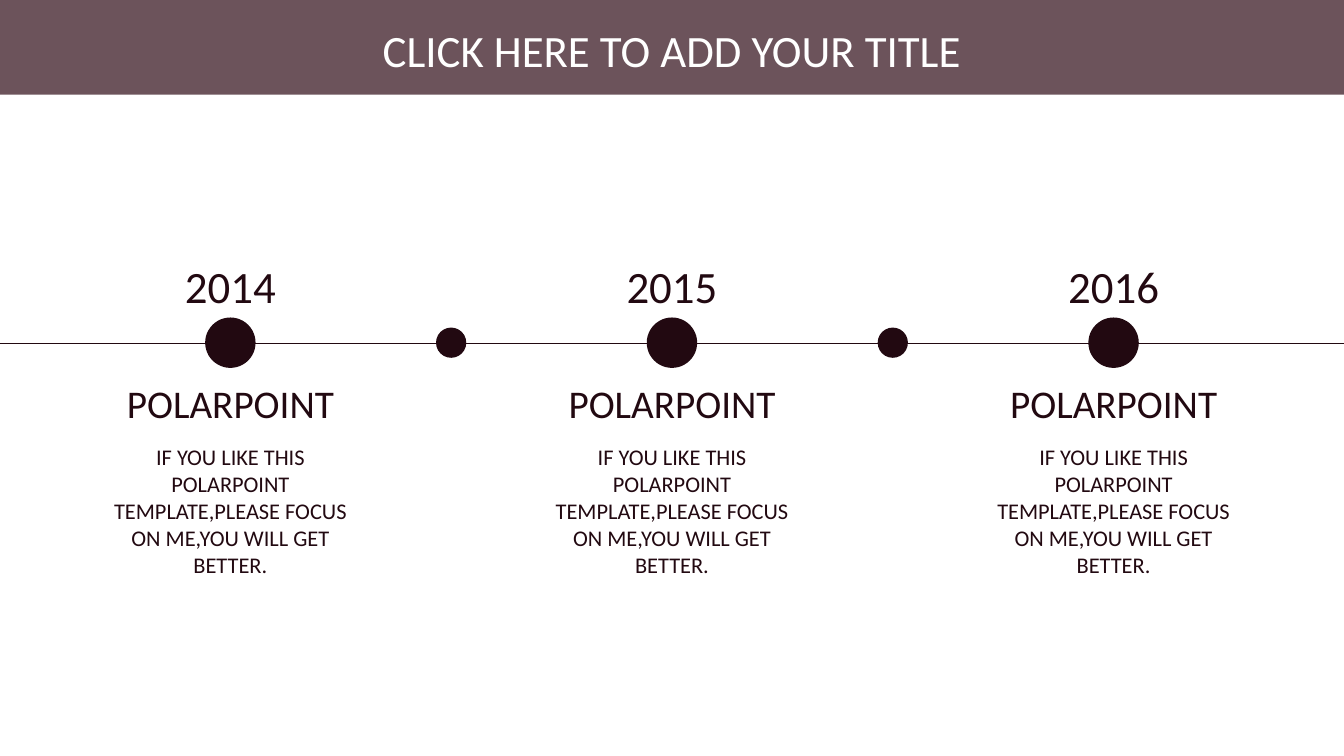
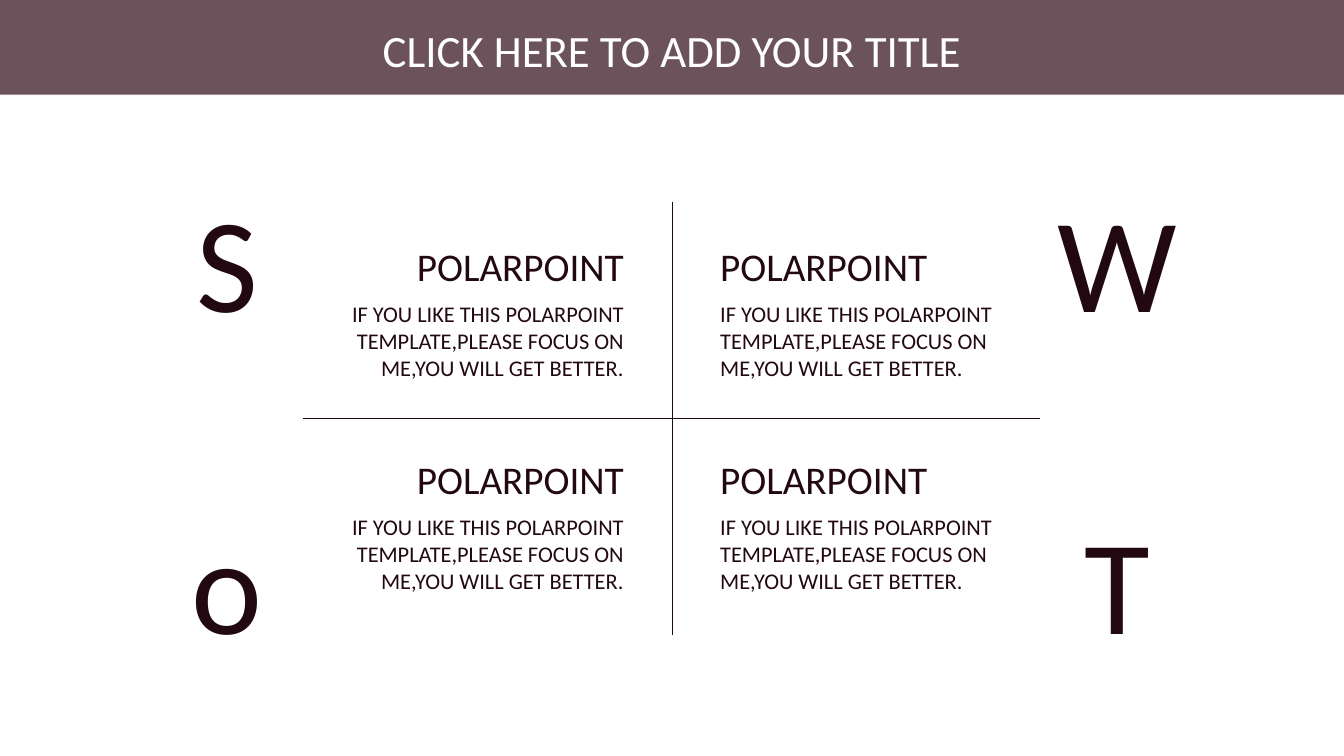
from dataclasses import dataclass
from typing import Any

from lxml.etree import SubElement as SubEl
from pptx import Presentation
from pptx.dml.color import RGBColor as Rgb
from pptx.enum.shapes import MSO_CONNECTOR as Link, MSO_SHAPE as Kind
from pptx.enum.text import MSO_ANCHOR as Anchor, MSO_AUTO_SIZE as Fit, PP_ALIGN as Align
from pptx.oxml.ns import qn
from pptx.slide import Slide, SlideLayout as Layout
from pptx.util import Inches, Pt

COLORS = {"band": "300D18", "ink": "220911", "white": "FFFFFF"}
FONT = "Calibri"
WIDE, HIGH, BAND = 13.33, 7.5, 0.94
MID = WIDE / 2
TITLE = "CLICK HERE TO ADD YOUR TITLE"
HEAD = "POLARPOINT"
NOTE = f"IF YOU LIKE THIS {HEAD} TEMPLATE,PLEASE FOCUS ON ME,YOU WILL GET BETTER."


@dataclass(frozen=True)
class Box:
    left: float
    top: float
    width: float
    height: float


@dataclass(frozen=True)
class Style:
    size: int
    color: str = "ink"
    align: Align = Align.CENTER


@dataclass(frozen=True)
class Stop:
    year: str
    center: float


@dataclass(frozen=True)
class Part:
    letter: str
    row: int
    right: bool


STEP = 2.19
STOPS = [Stop(str(2015 + i), MID + 2 * STEP * i) for i in (-1, 0, 1)]
PARTS = [
    Part("S", 0, False),
    Part("W", 0, True),
    Part("o", 1, False),
    Part("T", 1, True),
]


def paint(fill: Any, color: str) -> None:
    fill.solid()
    fill.fore_color.rgb = Rgb.from_string(COLORS[color])


def place(shape: Any, box: Box) -> None:
    shape.left, shape.top = Inches(box.left), Inches(box.top)
    shape.width, shape.height = Inches(box.width), Inches(box.height)


def write(shape: Any, text: str, style: Style) -> None:
    frame = shape.text_frame
    frame.text = text
    frame.word_wrap = True
    frame.auto_size = Fit.SHAPE_TO_FIT_TEXT
    frame.vertical_anchor = Anchor.TOP
    for line in frame.paragraphs:
        line.alignment = style.align
        for run in line.runs:
            run.font.name = FONT
            run.font.size = Pt(style.size)
            run.font.color.rgb = Rgb.from_string(COLORS[style.color])


def add_text(shapes: Any, text: str, box: Box, style: Style) -> None:
    label = shapes.add_textbox(0, 0, 0, 0)
    place(label, box)
    write(label, text, style)


def add_form(slide: Slide, kind: Kind, box: Box, color: str) -> Any:
    form = slide.shapes.add_shape(kind, 0, 0, 0, 0)
    place(form, box)
    form.shadow.inherit = False
    paint(form.fill, color)
    form.line.fill.background()
    return form


def add_dot(slide: Slide, x: float, y: float, size: float) -> None:
    add_form(slide, Kind.OVAL, Box(x - size / 2, y - size / 2, size, size), "ink")


def add_line(slide: Slide, x1: float, y1: float, x2: float, y2: float) -> None:
    line = slide.shapes.add_connector(
        Link.STRAIGHT, Inches(x1), Inches(y1), Inches(x2), Inches(y2)
    )
    line.line.width = Pt(0.5)
    paint(line.line.fill, "ink")
    SubEl(line.element.spPr, qn("a:effectLst"))


def add_card(slide: Slide, head: Box, note: Box, align: Align) -> None:
    group = slide.shapes.add_group_shape()
    add_text(group.shapes, HEAD, head, Style(28, align=align))
    add_text(group.shapes, NOTE, note, Style(16, align=align))


def share_back(slide: Slide, layout: Layout) -> None:
    back = add_form(slide, Kind.RECTANGLE, Box(0, 0, WIDE, HIGH), "band")
    tint = back.element.spPr.find(f"{qn('a:solidFill')}/{qn('a:srgbClr')}")
    SubEl(tint, qn("a:alpha")).set("val", "71000")
    page = add_form(slide, Kind.RECTANGLE, Box(0, BAND, WIDE, HIGH - BAND), "white")
    for i, form in enumerate((back, page)):
        form.element.nvSpPr.cNvPr.set("id", str(20 + i))
        layout.shapes.element.insert(2 + i, form.element)


def add_slide(deck: Any, layout: Layout) -> Slide:
    slide = deck.slides.add_slide(layout)
    title = slide.shapes.title
    place(title, Box(3.44, 0.18, 6.45, 0.64))
    write(title, TITLE, Style(32, "white"))
    return slide


def draw_years(slide: Slide) -> None:
    axis = 3.4
    add_line(slide, 0, axis + 0.01, WIDE, axis + 0.01)
    for side in (-1, 1):
        add_dot(slide, MID + side * STEP, axis, 0.3)
    for stop in STOPS:
        x = stop.center
        add_dot(slide, x, axis, 0.5)
        add_text(slide.shapes, stop.year, Box(x - 0.59, 2.52, 1.18, 0.64), Style(32))
        add_card(
            slide,
            Box(x - 1.26, 3.71, 2.52, 0.57),
            Box(x - 1.31, 4.35, 2.62, 1.45),
            Align.CENTER,
        )


def draw_swot(slide: Slide) -> None:
    add_line(slide, 3.01, 4.15, 10.32, 4.15)
    add_line(slide, MID, 2, MID, 6.3)
    gap, head, note = 0.38, 2.52, 3.27
    for part in PARTS:
        x = 10.32 if part.right else 1.49
        spot = Box(x, 1.72 + 3.19 * part.row, 1.52, 1.72)
        add_text(slide.shapes, part.letter, spot, Style(96))
        edge = MID + gap if part.right else MID - gap
        shift = 0 if part.right else 1
        add_card(
            slide,
            Box(edge - shift * head, 2.35 + 2.12 * part.row, head, 0.57),
            Box(edge - shift * note, 2.93 + 2.11 * part.row, note, 0.91),
            Align.LEFT if part.right else Align.RIGHT,
        )


def main() -> None:
    deck = Presentation()
    deck.slide_width, deck.slide_height = Inches(WIDE), Inches(HIGH)
    layout = deck.slide_layouts.get_by_name("Title Only")
    years = add_slide(deck, layout)
    share_back(years, layout)
    draw_years(years)
    draw_swot(add_slide(deck, layout))
    deck.save("out.pptx")


if __name__ == "__main__":
    main()
